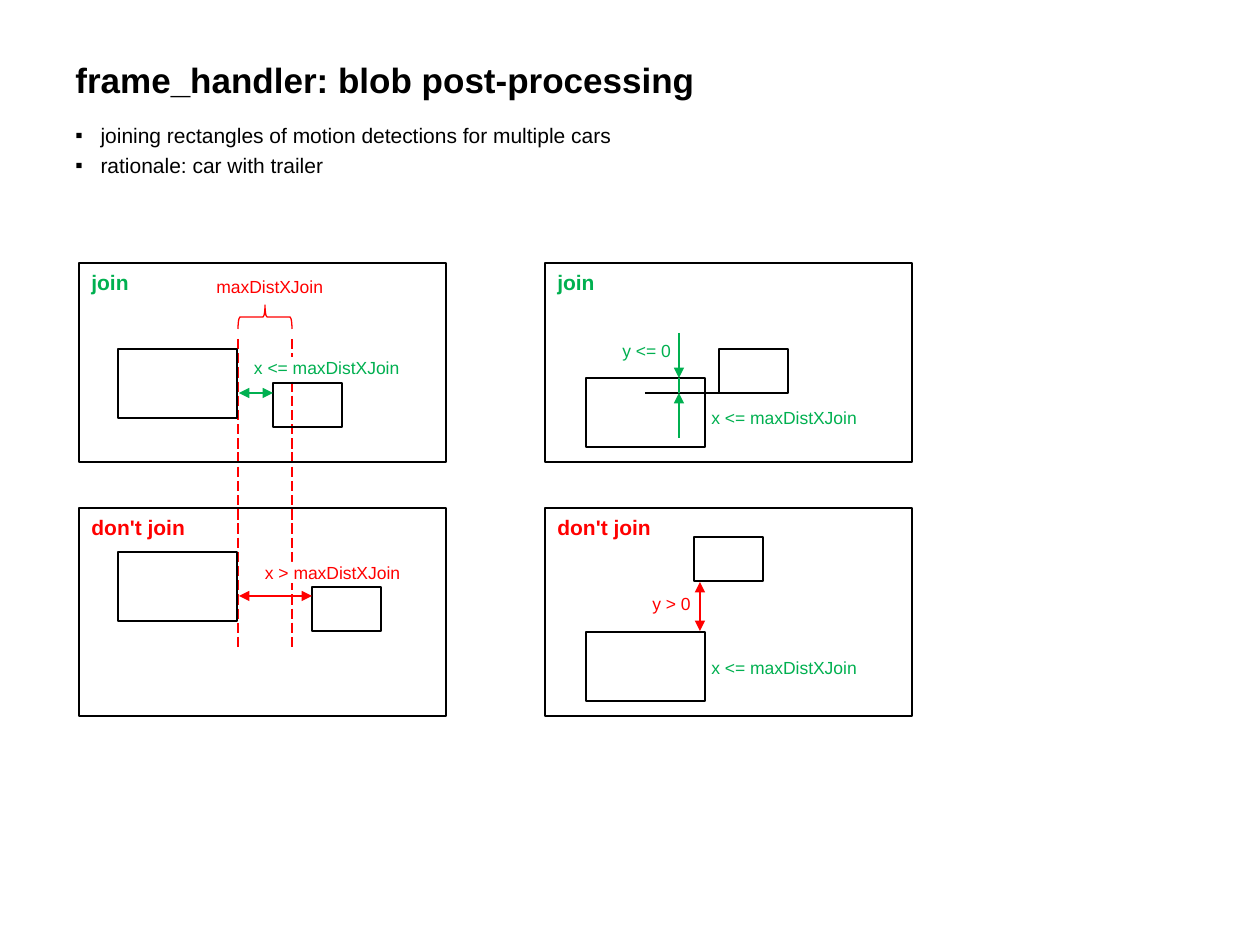
from lxml import etree
from pptx import Presentation
from pptx.dml.color import RGBColor
from pptx.enum.dml import MSO_LINE
from pptx.enum.shapes import MSO_CONNECTOR, MSO_SHAPE
from pptx.enum.text import MSO_ANCHOR, MSO_AUTO_SIZE
from pptx.oxml.ns import qn
from pptx.util import Emu, Inches, Pt

RECT, BRACE = MSO_SHAPE.RECTANGLE, MSO_SHAPE.RIGHT_BRACE
STRAIGHT, DASH = MSO_CONNECTOR.STRAIGHT, MSO_LINE.LONG_DASH
MIDDLE, GROW = MSO_ANCHOR.MIDDLE, MSO_AUTO_SIZE.SHAPE_TO_FIT_TEXT
COLORS = {"black": "000000", "white": "FFFFFF", "red": "FF0000", "green": "00B050"}
PX = Inches(1) // 126
CAR, TRAILER = (119, 69), (69, 44)
NEAR = "x <= maxDistXJoin"


def px(*lengths):
    """Turn pixel lengths into EMU."""
    return [Emu(length * PX) for length in lengths]


def rgb(color):
    """Look up a colour by name."""
    return RGBColor.from_string(COLORS[color])


def outline(slide, kind, box, color="black", width=1.5):
    """Draw an unfilled preset shape."""
    shape = slide.shapes.add_shape(kind, *px(*box))
    shape.shadow.inherit = False
    shape.fill.background()
    shape.line.color.rgb = rgb(color)
    shape.line.width = Pt(width)
    return shape


def line(slide, start, end, color, width=1.5, ends=(), dash=None):
    """Draw a straight line with optional arrowheads."""
    connector = slide.shapes.add_connector(STRAIGHT, *px(*start, *end))
    connector.line.color.rgb = rgb(color)
    connector.line.width = Pt(width)
    if dash:
        connector.line.dash_style = dash
    for end_tag in ends:
        etree.SubElement(connector.line._get_or_add_ln(), qn(end_tag), type="triangle")
    etree.SubElement(connector._element.spPr, qn("a:effectLst"))


def text(slide, box, lines, color="black", size=10, bold=False, wrap=False):
    """Write one paragraph for each line."""
    textbox = slide.shapes.add_textbox(*px(*box))
    frame = textbox.text_frame
    frame.text = "\n".join(lines)
    frame.word_wrap = wrap
    if not wrap:
        frame.auto_size = GROW
    for paragraph in frame.paragraphs:
        font = paragraph.runs[0].font
        font.name, font.size, font.bold = "Arial", Pt(size), bold
        font.color.rgb = rgb(color)
    return textbox


def masked_label(slide, box, label, color):
    """Write a label that hides the guides behind it."""
    textbox = text(slide, box, [label], color)
    textbox.fill.solid()
    textbox.fill.fore_color.rgb = rgb("white")
    frame = textbox.text_frame
    frame.margin_left = frame.margin_right = frame.margin_top = frame.margin_bottom = 0


def heading(slide, left, top, width):
    """Write the title and the bulleted rationale."""
    title = text(slide, (left, top, width, 82), ["frame_handler: blob post-processing"],
                 size=20, bold=True, wrap=True)
    title.text_frame.vertical_anchor = MIDDLE
    points = ["joining rectangles of motion detections for multiple cars",
              "rationale: car with trailer"]
    rationale = text(slide, (left, top + 78, width, 84), points, size=12, wrap=True)
    for paragraph in rationale.text_frame.paragraphs:
        paragraph.space_before = Pt(3)
        properties = paragraph._p.get_or_add_pPr()
        properties.set("marL", str(Inches(0.2)))
        properties.set("indent", str(-Inches(0.2)))
        etree.SubElement(properties, qn("a:buFont"), typeface="Arial")
        etree.SubElement(properties, qn("a:buChar"), char="▪")


def panel(slide, box, joins, car, trailer):
    """Draw a case frame with its verdict, car and trailer."""
    left, top = box[:2]
    outline(slide, RECT, box, width=0.75)
    verdict, color, width = ("join", "green", 63) if joins else ("don't join", "red", 121)
    text(slide, (left, top, width, 38), [verdict], color, 12, True)
    for (x, y), size in ((car, CAR), (trailer, TRAILER)):
        outline(slide, RECT, (left + x, top + y, *size))


def guides(slide, left, top, height):
    """Draw the dashed limits of the joining distance."""
    for x in (left, left + 54):
        line(slide, (x, top), (x, top + height), "red", 0.75, dash=DASH)


def gap_x(slide, start, gap, label_box, label, color):
    """Mark a horizontal gap between car and trailer."""
    x, y = start
    masked_label(slide, label_box, label, color)
    line(slide, start, (x + gap, y), color, ends=("a:headEnd", "a:tailEnd"))


def limit(slide, left, top):
    """Name the joining distance above its brace."""
    text(slide, (left, top, 134, 34), ["maxDistXJoin"], "red")
    outline(slide, BRACE, (left + 49, top + 20, 24, 54), "red", 0.75).rotation = 270


def overlap_y(slide, left, top):
    """Mark a vertical overlap with two facing arrows."""
    x = left + 134
    line(slide, (left + 100, top + 130), (left + 174, top + 130), "black", 0.75)
    line(slide, (x, top + 130), (x, top + 115), "green")
    for start, end in ((175, 130), (70, 115)):
        line(slide, (x, top + start), (x, top + end), "green", ends=("a:tailEnd",))
    text(slide, (left + 65, top + 71, 74, 34), ["y <= 0"], "green")
    text(slide, (left + 154, top + 138, 173, 34), [NEAR], "green")


def gap_y(slide, left, top):
    """Mark a vertical gap between car and trailer."""
    x = left + 155
    line(slide, (x, top + 74), (x, top + 123), "red", ends=("a:headEnd", "a:tailEnd"))
    text(slide, (left + 95, top + 79, 64, 34), ["y > 0"], "red")
    text(slide, (left + 154, top + 143, 173, 34), [NEAR], "green")


def main():
    """Build the slide."""
    deck = Presentation()
    deck.slide_width, deck.slide_height = Inches(10), Inches(7.5)
    slide = deck.slides.add_slide(deck.slide_layouts[6])
    left, right, upper, lower = 79, 545, 263, 508
    heading(slide, 63, 38, 1134)
    guides(slide, left + 159, upper + 76, 312)
    for x, y, joins, car, trailer in (
        (left, upper, True, (39, 86), (194, 120)),
        (left, lower, False, (39, 44), (233, 79)),
        (right, upper, True, (41, 115), (174, 86)),
        (right, lower, False, (41, 124), (149, 29)),
    ):
        panel(slide, (x, y, 367, 199 if joins else 208), joins, car, trailer)
    limit(slide, left + 125, upper + 7)
    gap_x(slide, (left + 160, upper + 130), 34, (left + 175, upper + 94, 147, 21),
          NEAR, "green")
    gap_x(slide, (left + 160, lower + 88), 73, (left + 186, lower + 54, 141, 21),
          "x > maxDistXJoin", "red")
    overlap_y(slide, right, upper)
    gap_y(slide, right, lower)
    deck.save("out.pptx")


main()
